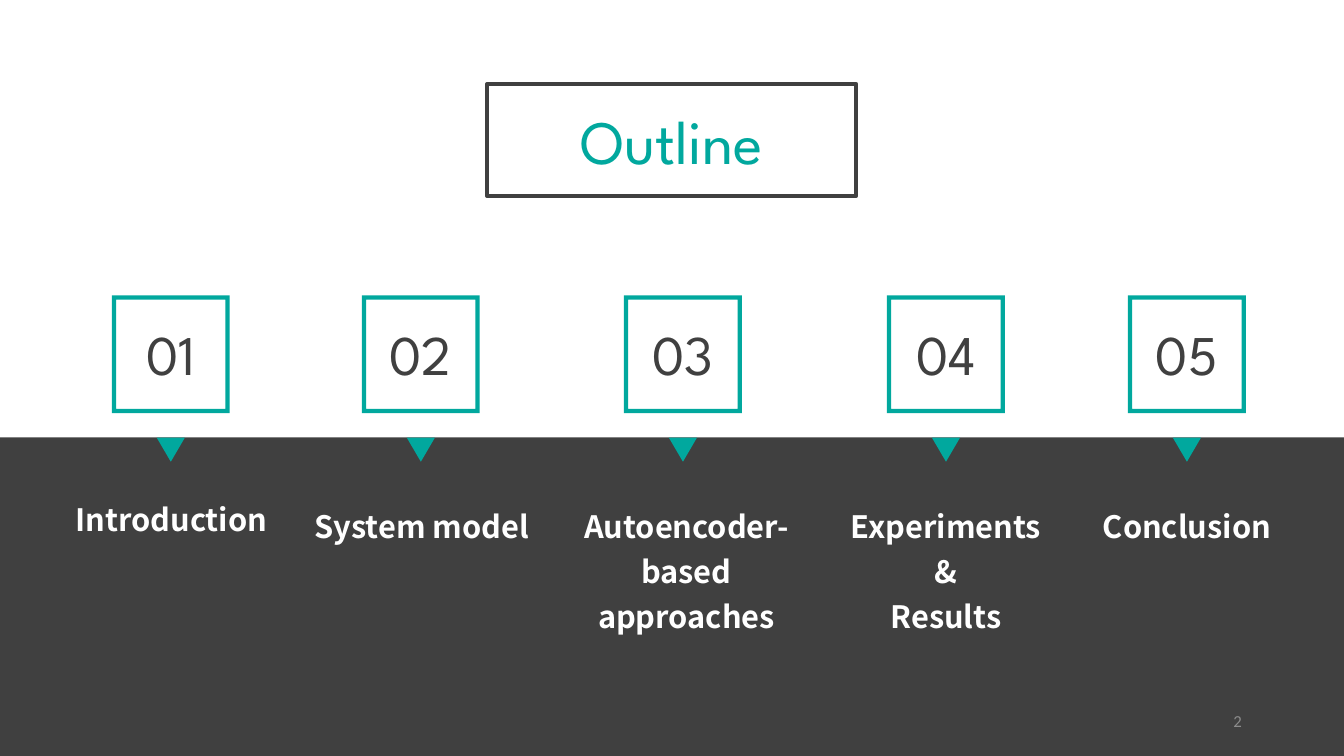
from dataclasses import dataclass
from typing import Optional

from pptx import Presentation
from pptx.dml.color import RGBColor
from pptx.enum.shapes import MSO_SHAPE as Shape
from pptx.enum.text import MSO_ANCHOR as Anchor, MSO_AUTO_SIZE as AutoSize, PP_ALIGN as Align
from pptx.slide import Slide
from pptx.util import Pt


@dataclass(frozen=True)
class TextStyle:
    font: str
    size: float
    color: RGBColor
    bold: bool = False


@dataclass(frozen=True)
class Theme:
    teal: RGBColor = RGBColor(0x01, 0xA8, 0x9E)
    dark: RGBColor = RGBColor(0x40, 0x40, 0x40)
    title: TextStyle = TextStyle("League Spartan", 44, teal)
    number: TextStyle = TextStyle("League Spartan", 40, dark)
    label: TextStyle = TextStyle("Noto Sans CJK SC", 22, RGBColor(255, 255, 255), True)
    page_number: TextStyle = TextStyle("Calibri", 12, RGBColor(0x8C, 0x8C, 0x8C))


@dataclass(frozen=True)
class Rect:
    left: float
    top: float
    width: float
    height: float

    def lengths(self) -> tuple[Pt, Pt, Pt, Pt]:
        return Pt(self.left), Pt(self.top), Pt(self.width), Pt(self.height)


@dataclass(frozen=True)
class Section:
    label: str
    center: float
    label_center: float
    label_width: float = 183.6
    label_height: float = 36.7
    label_top: float = 353.5
    line_spacing: Optional[float] = 32


THEME = Theme()
PAGE_WIDTH, PAGE_HEIGHT = 960, 540
BAND_TOP = 312.5
FRAME_TOP, FRAME_SIZE = 211, 84.2
NUMBER_TOP, NUMBER_HEIGHT = 224.6, 55.4
POINTER_WIDTH, POINTER_HEIGHT = 20.2, 17.3

SECTIONS = [
    Section("Introduction", 122, 122.4, 165.6, 33.8, 354.2, None),
    Section("System model", 300.6, 301.3),
    Section("Autoencoder-based approaches", 487.8, 490.3, 170, 101.5),
    Section("Experiments\n&\nResults", 675.7, 675.7, label_height=101.5),
    Section("Conclusion", 847.8, 847.8),
]


def write(frame, text: str, style: TextStyle, align: Align = Align.CENTER,
          line_spacing: Optional[float] = None) -> None:
    frame.word_wrap = True
    frame.text = text
    for para in frame.paragraphs:
        para.alignment = align
        if line_spacing:
            para.line_spacing = Pt(line_spacing)
        for span in para.runs:
            span.font.name = style.font
            span.font.size = Pt(style.size)
            span.font.bold = style.bold
            span.font.color.rgb = style.color


def add_solid(shapes, kind: Shape, rect: Rect, color: RGBColor):
    solid = shapes.add_shape(kind, *rect.lengths())
    solid.shadow.inherit = False
    solid.fill.solid()
    solid.fill.fore_color.rgb = color
    solid.line.fill.background()
    return solid


def add_title(page: Slide) -> None:
    title = page.shapes.title
    title.left, title.top, title.width, title.height = Rect(348, 60, 263.5, 80).lengths()
    title.line.color.rgb = THEME.dark
    title.line.width = Pt(3)
    write(title.text_frame, "Outline", THEME.title)
    title.text_frame.auto_size = AutoSize.NONE
    title.text_frame.vertical_anchor = Anchor.MIDDLE


def add_section(page: Slide, number: int, section: Section) -> None:
    shapes = page.shapes.add_group_shape().shapes

    def centered(center: float, top: float, width: float, height: float) -> Rect:
        return Rect(center - width / 2, top, width, height)

    label = shapes.add_textbox(*centered(section.label_center, section.label_top,
                                         section.label_width, section.label_height).lengths())
    write(label.text_frame, section.label, THEME.label, line_spacing=section.line_spacing)

    frame = add_solid(shapes, Shape.FRAME,
                      centered(section.center, FRAME_TOP, FRAME_SIZE, FRAME_SIZE), THEME.teal)
    frame.adjustments[0] = 0.036

    pointer = add_solid(shapes, Shape.ISOSCELES_TRIANGLE,
                        centered(section.center, BAND_TOP, POINTER_WIDTH, POINTER_HEIGHT),
                        THEME.teal)
    pointer.rotation = 180

    box = shapes.add_textbox(*centered(section.center, NUMBER_TOP,
                                       FRAME_SIZE, NUMBER_HEIGHT).lengths())
    write(box.text_frame, f"{number:02}", THEME.number)


def add_page_number(page: Slide) -> None:
    box = page.shapes.add_textbox(*Rect(678.2, 500.4, 216, 28.8).lengths())
    write(box.text_frame, "2", THEME.page_number, Align.RIGHT)
    box.text_frame.vertical_anchor = Anchor.MIDDLE


def main() -> None:
    deck = Presentation()
    deck.slide_width, deck.slide_height = Pt(PAGE_WIDTH), Pt(PAGE_HEIGHT)
    page = deck.slides.add_slide(deck.slide_layouts.get_by_name("Title Only"))
    add_solid(page.shapes, Shape.RECTANGLE,
              Rect(0, BAND_TOP, PAGE_WIDTH, PAGE_HEIGHT - BAND_TOP), THEME.dark)
    add_page_number(page)
    add_title(page)
    for number, section in enumerate(SECTIONS, start=1):
        add_section(page, number, section)
    deck.save("out.pptx")


if __name__ == "__main__":
    main()
